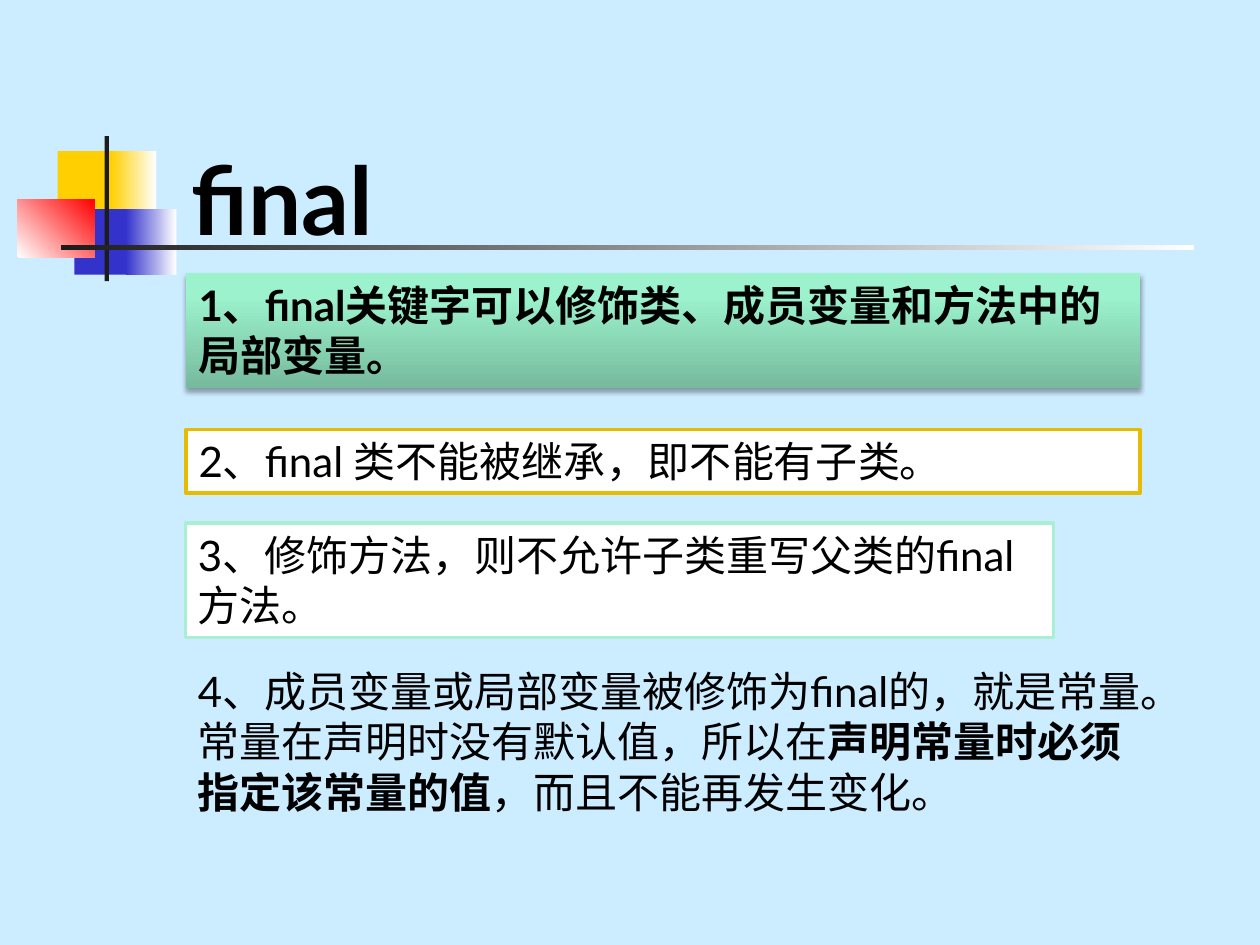
"""Build the slide about the final keyword."""
import copy

import pptx
import pptx.dml.color
import pptx.enum.shapes
import pptx.enum.text
import pptx.oxml
import pptx.oxml.ns
import pptx.util

THEME = {
    "font": "Lato", "title": 54, "body": 24, "line": 2,
    "background": "CCECFF", "text": "000000", "white": "FFFFFF",
    "yellow": "FFCF01", "blue": "3333CC", "red": "FF0000", "dark": "1C1C1C",
    "gold": "E7BB01", "mint": "AAEFD1",
    "mint_deep": "77BA9D", "mint_mid": "9BF2CC", "mint_light": "9AF4CD",
}

TITLE = {"text": "final", "at": (36, 21.6, 329, 127.4), "indent": 73.5}

ORNAMENTS = [
    ((33, 86.4, 34.6, 37.4), ["yellow"], 0),
    ((63.4, 86.4, 25.9, 37.4), ["yellow", "white"], 0),
    ((42.5, 119.5, 33.1, 37.4), ["blue"], 0),
    ((72, 119.5, 28.8, 37.4), ["blue", "white"], 0),
    ((10, 113.8, 44, 33.1), ["white", "red"], 45),
    ((59.8, 77.8, 2.4, 82.8), ["dark"], 0),
    ((34.6, 140.2, 648, 2.4), ["dark", "white"], 0),
]

POINTS = [
    {"at": (106.4, 156.2, 545, 65.5), "fill": ["mint_deep", "mint_mid", "mint_light"],
     "positions": (0, 0.8, 1), "angle": 90, "shadow": True,
     "spans": [("1、final关键字可以修饰类、成员变量和方法中的局部变量。", True)]},
    {"at": (106.4, 245.5, 545, 36.3), "fill": ["white"], "line": "gold",
     "spans": [("2、final 类不能被继承，即不能有子类。", False)]},
    {"at": (106, 298.8, 496, 65.5), "fill": ["white"], "line": "mint",
     "spans": [("3、修饰方法，则不允许子类重写父类的final方法。", False)]},
    {"at": (106, 376.6, 556.6, 94.3),
     "spans": [("4、成员变量或局部变量被修饰为final的，就是常量。常量在声明时没有默认值，所以在", False),
               ("声明常量时必须指定该常量的值", True),
               ("，而且不能再发生变化。", False)]},
]

SHADOW = (
    f'<a:effectLst {pptx.oxml.ns.nsdecls("a")}>'
    '<a:outerShdw blurRad="39370" dist="22860" dir="5400000" rotWithShape="0">'
    '<a:srgbClr val="000000"><a:alpha val="35000"/></a:srgbClr>'
    '</a:outerShdw></a:effectLst>'
)


def color(name):
    return pptx.dml.color.RGBColor.from_string(THEME[name])


def points(lengths):
    return [pptx.util.Pt(length) for length in lengths]


def paint(shape, names, angle=0, positions=(0, 1)):
    if len(names) == 1:
        shape.fill.solid()
        shape.fill.fore_color.rgb = color(names[0])
        return
    shape.fill.gradient()
    shape.fill.gradient_angle = angle
    stop_list = shape._element.spPr.find(".//" + pptx.oxml.ns.qn("a:gsLst"))
    for _ in names[2:]:
        stop_list.append(copy.deepcopy(stop_list[-1]))
    for stop, name, position in zip(shape.fill.gradient_stops, names, positions):
        stop.color.rgb = color(name)
        stop.position = position


def add_rectangle(slide, at, names, angle=0, positions=(0, 1), line=None):
    shape = slide.shapes.add_shape(pptx.enum.shapes.MSO_SHAPE.RECTANGLE, *points(at))
    shape.shadow.inherit = False
    paint(shape, names, angle, positions)
    if line:
        shape.line.color.rgb = color(line)
        shape.line.width = pptx.util.Pt(THEME["line"])
    else:
        shape.line.fill.background()
    return shape


def style(span, size, bold):
    span.font.name = THEME["font"]
    span.font.size = pptx.util.Pt(THEME[size])
    span.font.bold = bold
    span.font.color.rgb = color("text")


def add_point(slide, point):
    if "fill" in point:
        box = add_rectangle(slide, point["at"], point["fill"], point.get("angle", 0),
                            point.get("positions", (0, 1)), point.get("line"))
    else:
        box = slide.shapes.add_textbox(*points(point["at"]))
    if point.get("shadow"):
        properties = box._element.spPr
        properties.remove(properties.find(pptx.oxml.ns.qn("a:effectLst")))
        properties.append(pptx.oxml.parse_xml(SHADOW))
    frame = box.text_frame
    frame.word_wrap = True
    frame.auto_size = pptx.enum.text.MSO_AUTO_SIZE.SHAPE_TO_FIT_TEXT
    frame.vertical_anchor = pptx.enum.text.MSO_ANCHOR.TOP
    para = frame.paragraphs[0]
    para.alignment = pptx.enum.text.PP_ALIGN.LEFT
    for text, bold in point["spans"]:
        span = para.add_run()
        span.text = text
        style(span, "body", bold)


def set_title(slide):
    title = slide.shapes.title
    title.left, title.top, title.width, title.height = points(TITLE["at"])
    frame = title.text_frame
    frame.text = TITLE["text"]
    frame.margin_left = pptx.util.Pt(TITLE["indent"])
    frame.vertical_anchor = pptx.enum.text.MSO_ANCHOR.BOTTOM
    para = frame.paragraphs[0]
    para.alignment = pptx.enum.text.PP_ALIGN.LEFT
    style(para.runs[0], "title", True)


def main():
    deck = pptx.Presentation()
    deck.slide_width, deck.slide_height = points((720, 540))
    slide = deck.slides.add_slide(deck.slide_layouts[5])
    slide.background.fill.solid()
    slide.background.fill.fore_color.rgb = color("background")
    for at, names, angle in ORNAMENTS:
        add_rectangle(slide, at, names, angle)
    for point in POINTS:
        add_point(slide, point)
    set_title(slide)
    deck.save("out.pptx")


if __name__ == "__main__":
    main()
